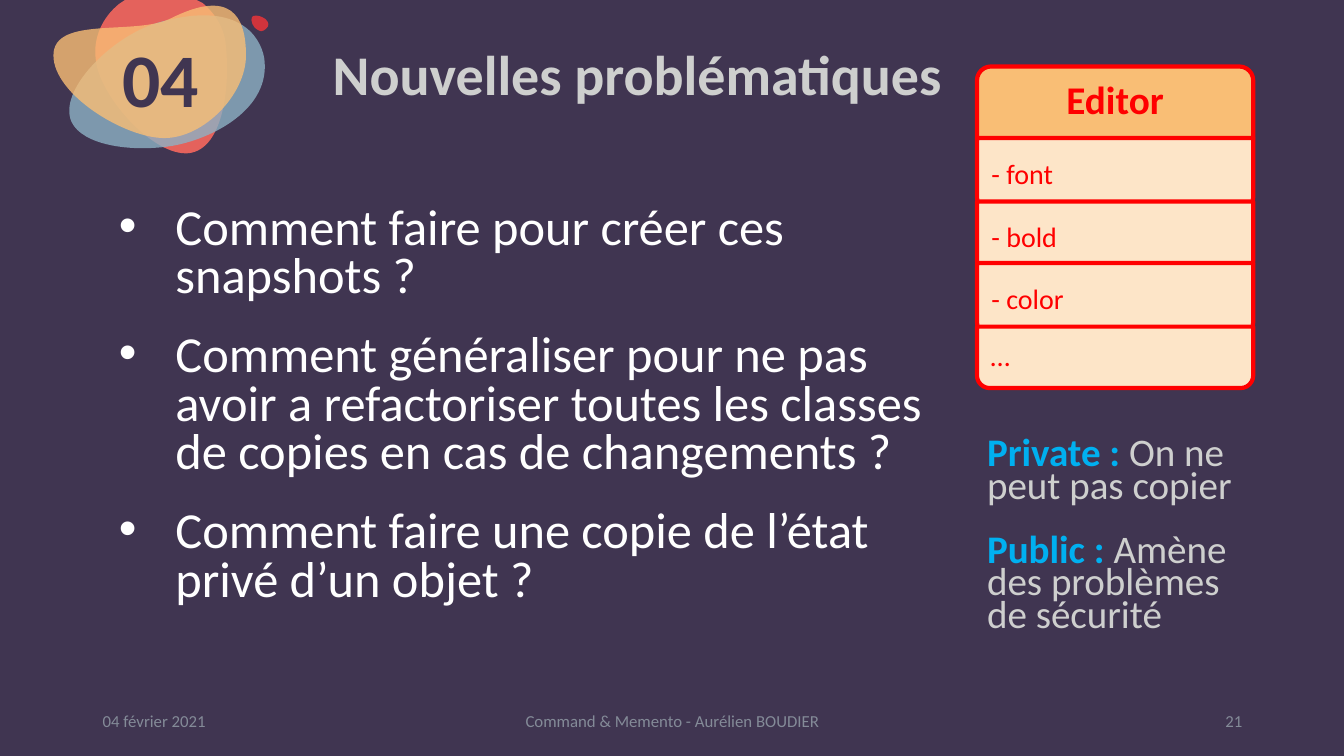
from dataclasses import dataclass
from typing import Any

from pptx import Presentation
from pptx.dml.color import RGBColor
from pptx.enum.shapes import MSO_SHAPE as Preset
from pptx.enum.text import MSO_ANCHOR as Anchor, MSO_AUTO_SIZE as AutoSize, PP_ALIGN as Align
from pptx.oxml.ns import qn
from pptx.oxml.xmlchemy import OxmlElement
from pptx.util import Inches, Pt

FONT = "Calibri"
PURPLE = RGBColor(0x40, 0x35, 0x51)
CORAL = RGBColor(0xE4, 0x62, 0x5C)
BLUE = RGBColor(0x8D, 0xB1, 0xC4)
ORANGE = RGBColor(0xF9, 0xBE, 0x75)
CREAM = RGBColor(0xFD, 0xE5, 0xC8)
CRIMSON = RGBColor(0xD0, 0x34, 0x3C)
RED = RGBColor(0xFF, 0x00, 0x00)
CYAN = RGBColor(0x00, 0xB0, 0xF0)
SILVER = RGBColor(0xCE, 0xCF, 0xCE)
GREY = RGBColor(0x84, 0x8B, 0x98)
WHITE = RGBColor(0xFF, 0xFF, 0xFF)

TWO_CONTENT = 3
Box = tuple[float, float, float, float]


@dataclass
class Blob:
    """Outline whose steps hold 2 numbers for a line, 6 for a cubic curve."""
    color: RGBColor
    alpha: int
    box: Box
    start: tuple[float, float]
    steps: list[tuple[float, ...]]


@dataclass
class Span:
    text: str
    size: float
    color: RGBColor
    bold: bool = False


@dataclass
class Cell:
    text: Span
    top: float
    height: float
    preset: Preset
    corners: tuple[float, ...]
    fill: RGBColor
    align: Align = Align.LEFT
    anchor: Anchor = Anchor.MIDDLE


@dataclass
class Label:
    text: Span
    box: Box
    align: Align


BLOBS = [
    Blob(CORAL, 100, (0.94, 0, 1.31, 1.52), (1.24, 0), [
        (1.95, 0), (2.01, 0.03), (2.14, 0.14, 2.23, 0.29, 2.24, 0.46),
        (2.28, 0.81, 2.23, 1.48, 1.87, 1.52), (1.51, 1.55, 0.98, 0.94, 0.95, 0.59),
        (0.92, 0.37, 1.02, 0.17, 1.18, 0.04)]),
    Blob(BLUE, 80, (0.69, 0.15, 1.94, 1.32), (0.71, 1.21), [
        (0.82, 1.44, 1.29, 1.51, 1.69, 1.45), (2.08, 1.39, 2.7, 1.09, 2.62, 0.57),
        (2.58, 0.36, 2.36, -0.01, 1.55, 0.23), (1.1, 0.37, 0.57, 0.9, 0.71, 1.21)]),
    Blob(ORANGE, 80, (0.53, 0.06, 1.91, 1.31), (0.53, 0.55), [
        (0.53, 0.94, 1.24, 1.37, 1.63, 1.37), (2.02, 1.37, 2.44, 0.94, 2.44, 0.55),
        (2.44, 0.15, 2.28, -0.11, 1.7, 0.18), (1.35, 0.36, 0.53, 0.15, 0.53, 0.55)]),
    Blob(CRIMSON, 100, (2.49, 0.15, 0.16, 0.16), (2.5, 0.17), [
        (2.48, 0.2, 2.51, 0.28, 2.56, 0.3), (2.6, 0.33, 2.64, 0.29, 2.66, 0.26),
        (2.67, 0.23, 2.65, 0.19, 2.6, 0.17), (2.56, 0.15, 2.51, 0.15, 2.5, 0.17)]),
]
FIELDS = [("- font", 1.37, 0.74), ("- bold", 2, 0.74), ("- color", 2.61, 0.74), ("…", 3.24, 0.61)]
EDITOR = [Cell(Span("Editor", 28, RED, True), 0.66, 0.84, Preset.ROUNDED_RECTANGLE,
               (0.165,), ORANGE, Align.CENTER, Anchor.TOP)]
EDITOR += [Cell(Span(text, 20, RED), top, height, Preset.ROUND_2_SAME_RECTANGLE,
                (0, 0.207), CREAM) for text, top, height in FIELDS]
LABELS = [
    Label(Span("04", 54, PURPLE, True), (0.96, 0.15, 1.27, 1.23), Align.CENTER),
    Label(Span("04 février 2021", 12, GREY), (0.92, 6.95, 3, 0.4), Align.LEFT),
    Label(Span("Command & Memento - Aurélien BOUDIER", 12, GREY), (4.42, 6.95, 4.5, 0.4), Align.CENTER),
    Label(Span("21", 12, GREY), (9.42, 6.95, 3, 0.4), Align.RIGHT),
]
QUESTIONS = [
    "Comment faire pour créer ces snapshots ?",
    "Comment généraliser pour ne pas avoir a refactoriser toutes les classes "
    "de copies en cas de changements ?",
    "Comment faire une copie de l’état privé d’un objet ?",
]
ACCESS = [("Private : ", "On ne peut pas copier"), ("Public : ", "Amène des problèmes de sécurité")]
SPACED = {"space_before": Pt(10), "space_after": Pt(12)}


def assign(target: Any, values: dict[str, Any]) -> None:
    for name, value in values.items():
        setattr(target, name, value)


def place(shape: Any, box: Box) -> None:
    assign(shape, dict(zip(("left", "top", "width", "height"), map(Inches, box))))


def bend(shape: Any, blob: Blob) -> None:
    """Fit the outline to the blob's box and make its curves cubic."""
    place(shape, blob.box)
    left, top, width, height = blob.box
    track = shape._element.spPr.find(".//" + qn("a:path"))
    track.set("w", str(Inches(width)))
    track.set("h", str(Inches(height)))
    legs = [leg for leg in track if leg.tag != qn("a:close")]
    for leg, step in zip(legs, [blob.start, *blob.steps]):
        part = OxmlElement("a:cubicBezTo") if len(step) == 6 else OxmlElement(
            "a:moveTo" if leg is legs[0] else "a:lnTo")
        for x, y in zip(step[::2], step[1::2]):
            point = OxmlElement("a:pt")
            point.set("x", str(Inches(x - left)))
            point.set("y", str(Inches(y - top)))
            part.append(point)
        track.replace(leg, part)


def draw_blob(page: Any, blob: Blob) -> None:
    builder = page.shapes.build_freeform(*map(Inches, blob.start))
    builder.add_line_segments([tuple(map(Inches, step[-2:])) for step in blob.steps], close=False)
    shape = builder.convert_to_shape()
    bend(shape, blob)
    shape._element.spPr.find(".//" + qn("a:path")).append(OxmlElement("a:close"))
    shape.shadow.inherit = False
    shape.fill.solid()
    shape.fill.fore_color.rgb = blob.color
    shape.line.fill.background()
    if blob.alpha < 100:
        alpha = OxmlElement("a:alpha")
        alpha.set("val", str(blob.alpha * 1000))
        shape._element.spPr.find(qn("a:solidFill"))[0].append(alpha)


def write(frame: Any, paras: list[list[Span]], anchor: Anchor, bullet: str = "", **values: Any) -> None:
    """Fill a text frame; values are paragraph attributes."""
    assign(frame, {"word_wrap": True, "auto_size": AutoSize.NONE, "vertical_anchor": anchor})
    for index, spans in enumerate(paras):
        para = frame.add_paragraph() if index else frame.paragraphs[0]
        assign(para, values)
        props = para._p.get_or_add_pPr()
        indent = Inches(0.56) if bullet else 0
        props.set("marL", str(indent))
        props.set("indent", str(-indent))
        mark = OxmlElement("a:buChar" if bullet else "a:buNone")
        if bullet:
            mark.set("char", bullet)
        props.append(mark)
        for span in spans:
            run = para.add_run()
            run.text = span.text
            assign(run.font, {"name": FONT, "size": Pt(span.size), "bold": span.bold})
            run.font.color.rgb = span.color


def draw_cell(group: Any, cell: Cell) -> None:
    box = (9.69, cell.top, 2.74, cell.height)
    shape = group.shapes.add_shape(cell.preset, *map(Inches, box))
    shape.shadow.inherit = False
    for index, corner in enumerate(cell.corners):
        shape.adjustments[index] = corner
    shape.fill.solid()
    shape.fill.fore_color.rgb = cell.fill
    shape.line.color.rgb = RED
    shape.line.width = Pt(3)
    write(shape.text_frame, [[cell.text]], cell.anchor, alignment=cell.align)


def main() -> None:
    deck = Presentation()
    assign(deck, {"slide_width": Inches(13.33), "slide_height": Inches(7.5)})
    page = deck.slides.add_slide(deck.slide_layouts[TWO_CONTENT])
    page.background.fill.solid()
    page.background.fill.fore_color.rgb = PURPLE

    for blob in BLOBS:
        draw_blob(page, blob)
    for label in LABELS:
        box = page.shapes.add_textbox(*map(Inches, label.box))
        write(box.text_frame, [[label.text]], Anchor.MIDDLE, alignment=label.align)
    group = page.shapes.add_group_shape()
    for cell in EDITOR:
        draw_cell(group, cell)

    title, questions, access = page.placeholders
    place(title, (3.2, 0.15, 9.22, 1.24))
    write(title.text_frame, [[Span("Nouvelles problématiques", 40, SILVER, True)]],
          Anchor.MIDDLE, alignment=Align.LEFT, line_spacing=0.9)
    place(questions, (1.08, 2, 8.18, 4.28))
    write(questions.text_frame, [[Span(text, 36, WHITE)] for text in QUESTIONS],
          Anchor.TOP, "•", line_spacing=0.8, **SPACED)
    place(access, (9.69, 4.32, 2.74, 2.18))
    write(access.text_frame,
          [[Span(word, 27.9, CYAN, True), Span(text, 27.9, SILVER)] for word, text in ACCESS],
          Anchor.TOP, line_spacing=0.7, **SPACED)
    deck.save("out.pptx")


if __name__ == "__main__":
    main()
